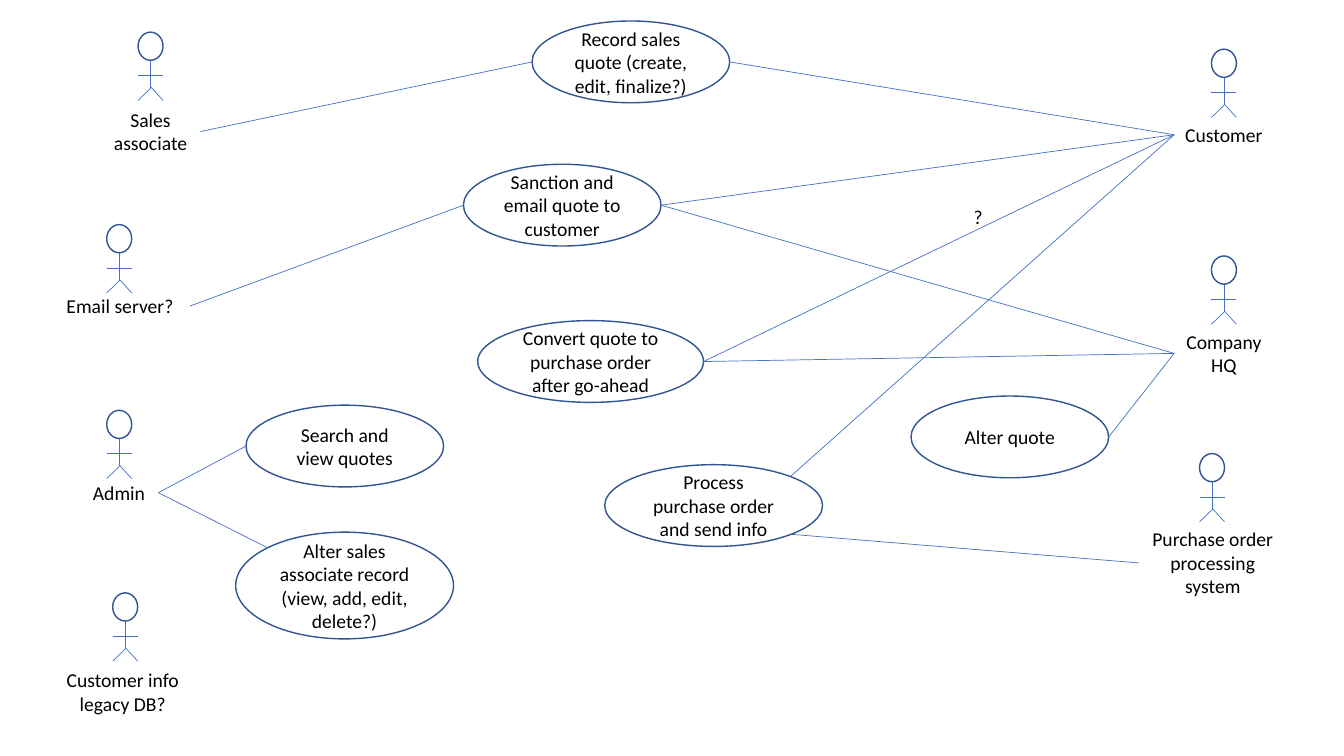
import pptx
import pptx.util
import pptx.dml.color
import pptx.enum.shapes
import pptx.enum.text
import lxml.etree

Cm, Pt = pptx.util.Cm, pptx.util.Pt
OVAL = pptx.enum.shapes.MSO_SHAPE.OVAL
LINE = pptx.enum.shapes.MSO_CONNECTOR.STRAIGHT
FONT = {"name": "Calibri", "size": Pt(14)}

deck = pptx.Presentation()
deck.slide_width, deck.slide_height = Cm(33.87), Cm(19.05)
slide = deck.slides.add_slide(deck.slide_layouts[6])
tree = slide.shapes


def paint(item, hue):
    item.rgb = pptx.dml.color.RGBColor.from_string(hue)


def link(a, b):
    wire = tree.add_connector(LINE, *[Cm(v) for v in (*a, *b)])
    wire.line.width = Pt(0.5)
    paint(wire.line.color, "4472C4")
    space = pptx.oxml.ns.qn("a:effectLst")
    lxml.etree.SubElement(wire._element.spPr, space)


actors = [
    ("Sales associate", 3.48, 0.81, 2.54, 2.59, 2.51, 2),
    ("Customer", 30.53, 1.24, 29.59, 2.97, 2.51, 1),
    ("Customer info legacy DB?", 2.84, 14.94, 1.42, 16.71, 3.35, 2),
    ("Company HQ", 30.53, 6.45, 29.59, 8.18, 2.51, 2),
    ("Purchase order processing system", 30.23, 11.43, 28.7, 13.16, 3.73, 3),
    ("Admin", 2.69, 10.34, 2.01, 11.99, 1.98, 1),
    ("Email server?", 2.69, 5.66, 1.27, 7.29, 3.51, 1),
]
cases = [
    ("Record sales quote (create, edit, finalize?)", 13.41, 0.53, 4.98, 2.06),
    ("Alter quote", 22.96, 9.98, 4.98, 2.06),
    ("Sanction and email quote to customer", 11.68, 4.14, 4.98, 2.06),
    ("Convert quote to purchase order after go-ahead", 12.04, 8.08, 5.69, 2.06),
    ("Process purchase order and send info", 15.24, 11.71, 5.49, 2.06),
    ("Alter sales associate record (view, add, edit, delete?)",
     5.94, 13.41, 5.49, 2.69),
    ("Search and view quotes", 6.2, 10.21, 4.98, 2.06),
]
limbs = [
    (0.32, 0.71, 0.32, 1.41),
    (0.32, 1.41, 0, 1.72),
    (0.32, 1.38, 0.63, 1.72),
    (0, 1.09, 0.63, 1.09),
]
sides = {
    "left": (0, 0.5), "right": (1, 0.5), "top left": (0.15, 0.15),
    "top right": (0.85, 0.15), "low right": (0.85, 0.85),
}
links = [
    ("Record", "left", "Sales associate", "right"),
    ("Record", "right", "Customer", "left"),
    ("Alter quote", "right", "Company HQ", "left"),
    ("Sanction", "right", "Company HQ", "left"),
    ("Sanction", "right", "Customer", "left"),
    ("Sanction", "left", "Email", "right"),
    ("Convert", "right", "Company HQ", "left"),
    ("Convert", "right", "Customer", "left"),
    ("Process", "low right", "Purchase", "left"),
    ("Process", "top right", "Customer", "left"),
    ("Alter sales", "top left", "Admin", "right"),
    ("Search", "left", "Admin", "right"),
]

ovals = [("", x, y, 0.63, 0.71) for _, x, y, *_ in actors] + cases
labels = [(name, x, y, wide, 0.25 + 0.6 * rows)
          for name, _, _, x, y, wide, rows in actors]
labels.append(("?", 24.38, 5.05, 0.41, 0.85))

for _, x, y, *_ in actors:
    for a, b, c, d in limbs:
        link((x + a, y + b), (x + c, y + d))

for words, *box in ovals + labels:
    place = [Cm(v) for v in box]
    if (words, *box) in labels:
        shape = tree.add_textbox(*place)
        anchor = pptx.enum.text.MSO_ANCHOR.TOP
    else:
        shape = tree.add_shape(OVAL, *place)
        shape.shadow.inherit = False
        shape.fill.background()
        shape.line.width = Pt(1)
        paint(shape.line.color, "325491")
        anchor = pptx.enum.text.MSO_ANCHOR.MIDDLE
    if words:
        frame = shape.text_frame
        frame.word_wrap = words != "?"
        frame.vertical_anchor = anchor
        para = frame.paragraphs[0]
        para.alignment = pptx.enum.text.PP_ALIGN.CENTER
        run = para.add_run()
        run.text = words
        for key, value in FONT.items():
            setattr(run.font, key, value)
        paint(run.font.color, "000000")

for start, side, end, edge in links:
    ends = []
    for group, name, spot in ((cases, start, side), (labels, end, edge)):
        x, y, w, h = next(b[1:] for b in group if b[0].startswith(name))
        fx, fy = sides[spot]
        ends.append((x + fx * w, y + fy * h))
    link(*ends)

deck.save("out.pptx")
